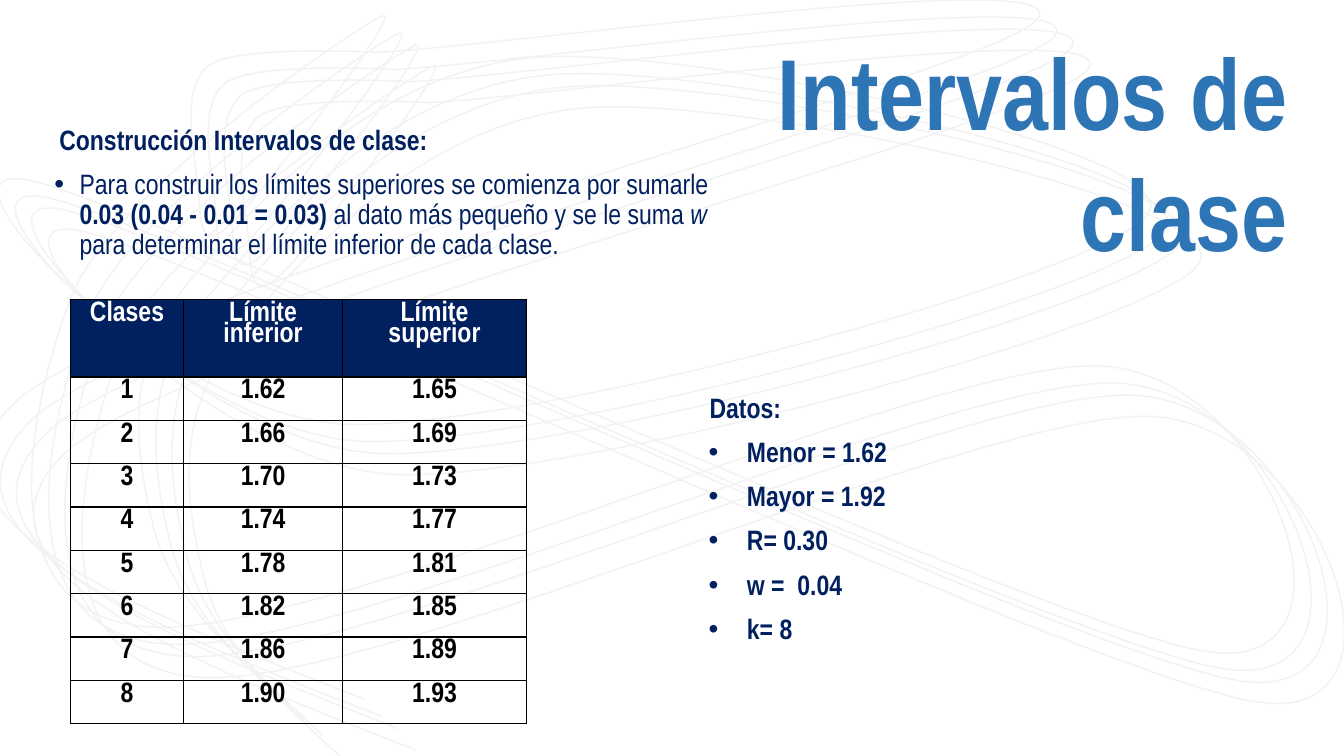
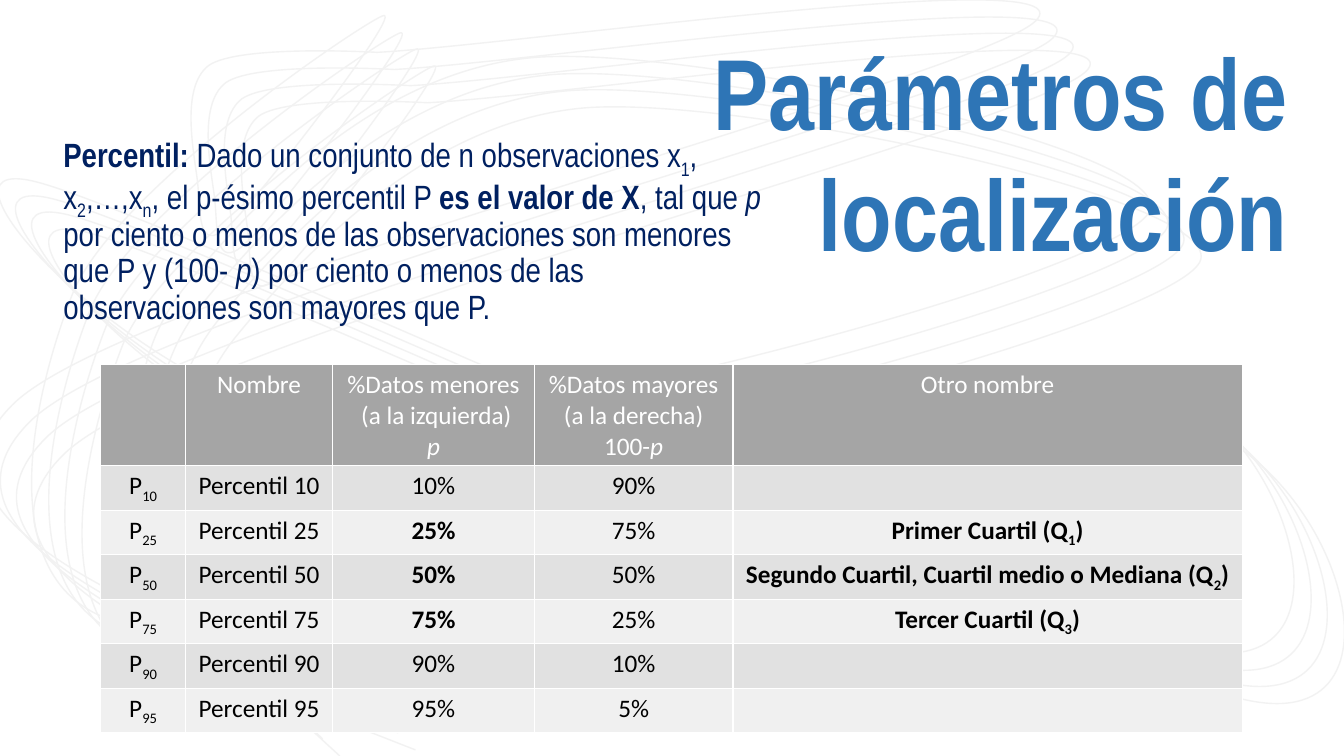
from dataclasses import dataclass

from lxml.etree import Element, SubElement
from pptx import Presentation
from pptx.dml.color import RGBColor as RGB
from pptx.enum.text import MSO_AUTO_SIZE as Fit, PP_ALIGN as Align
from pptx.oxml.ns import qn
from pptx.util import Inches, Pt


@dataclass(frozen=True)
class Theme:
    sans: str = "Arial Narrow"
    grid: str = "Calibri"
    title: str = "2E75B6"
    navy: str = "002060"
    white: str = "FFFFFF"
    black: str = "000000"
    swirl: str = "F2F2F2"
    gray: str = "A5A5A5"
    bands: tuple = ("E1E1E1", "F0F0F0")
    huge: int = 72
    large: int = 24
    body: int = 20
    small: int = 18


THEME = Theme()
HEAD = {"name": THEME.sans, "size": THEME.huge, "color": THEME.title, "bold": True}
BODY = {"name": THEME.sans, "size": THEME.body, "color": THEME.navy, "bold": False}
BOLD = {**BODY, "bold": True}
LEAD = {**BODY, "size": THEME.large}
CELL = {"name": THEME.grid, "size": THEME.small, "color": THEME.black, "bold": False}

FLOW = {"line_spacing": 0.9, "space_before": Pt(10)}
EVEN = {**FLOW, "alignment": Align.JUSTIFY}
MID = {"alignment": Align.CENTER}
MARKS = {"b": {"bold": True}, "i": {"italic": True}, "sub": {}}

# Start point, then two control points and an end point for each curve.
START = (2.87, 7)
CURVES = (
    (2.28, 6.46, 1.69, 5.92, 1.52, 5.22), (1.35, 4.53, 1.21, 3.62, 1.84, 2.84),
    (2.47, 2.07, 3.71, 0.7, 5.31, 0.57), (6.9, 0.45, 11.7, 1.49, 11.4, 2.1),
    (11.09, 2.7, 5.3, 4.25, 3.46, 4.21), (1.63, 4.16, -1.03, 1.43, 0.38, 1.81),
    (1.79, 2.19, 10.19, 6.16, 11.94, 6.46), (13.69, 6.76, 12.62, 3.67, 10.88, 3.63),
    (9.14, 3.6, 3.18, 6.34, 1.49, 6.22), (-0.21, 6.11, 0.32, 3.95, 0.71, 2.94),
    (1.09, 1.93, 3.53, 0.27, 3.79, 0.16), (4.05, 0.04, 2.56, 1.98, 2.26, 2.25),
    (1.95, 2.53, 1.99, 2.08, 1.96, 1.81), (1.93, 1.54, 1.78, 0.87, 2.07, 0.65),
    (2.37, 0.44, 3.74, 0.52, 3.74, 0.52), (5.1, 0.45, 10.87, -0.38, 10.27, 0.21),
    (9.66, 0.79, 1.23, 2.89, 0.12, 4.02), (-0.99, 5.14, 1.32, 6.04, 3.62, 6.94),
)


def bend(shape, curves):
    """Turn the shape's line segments into cubic curves given in slide units."""
    lines = list(shape._element.iter(qn("a:lnTo")))
    for line, curve in zip(lines, curves):
        arc = Element(qn("a:cubicBezTo"))
        for x, y in curve:
            SubElement(arc, qn("a:pt"), x=str(x - shape.left), y=str(y - shape.top))
        line.getparent().replace(line, arc)


def add_swirls(slide, last):
    """Draw four shifted outlines; last is the drop of the fourth."""
    for dx, dy in ((0, 0), (0.17, 0.17), (0.5, 0.5), (0.33, last)):
        def place(x, y):
            return Inches(x + dx), Inches(y + dy)

        curves = [[place(*row[n:n + 2]) for n in (0, 2, 4)] for row in CURVES]
        pen = slide.shapes.build_freeform(*place(*START), scale=1.0)
        pen.add_line_segments([curve[-1] for curve in curves], close=False)
        swirl = pen.convert_to_shape()
        bend(swirl, curves)
        swirl.shadow.inherit = False
        swirl.fill.background()
        swirl.line.color.rgb = RGB.from_string(THEME.swirl)
        swirl.line.width = Pt(1)


def style(font, look):
    for key, value in look.items():
        if key == "color":
            font.color.rgb = RGB.from_string(value)
        else:
            setattr(font, key, Pt(value) if key == "size" else value)


def write(par, runs, look, form):
    """Fill a paragraph with runs: plain strings or (text, marks) pairs."""
    for key, value in form.items():
        setattr(par, key, value)
    for item in runs:
        text, marks = (item, "") if isinstance(item, str) else item
        run = par.add_run()
        run.text = text
        style(run.font, look)
        for mark in marks.split():
            style(run.font, MARKS[mark])
            if mark == "sub":
                run._r.get_or_add_rPr().set("baseline", "-25000")


def fill_text(frame, lines, look, form):
    for n, runs in enumerate(lines):
        par = frame.add_paragraph() if n else frame.paragraphs[0]
        write(par, runs, look, form)


def indent(par, left, first, bullet=None):
    props = par._p.get_or_add_pPr()
    props.set("marL", str(Inches(left)))
    props.set("indent", str(Inches(first)))
    if bullet:
        SubElement(props, qn("a:buFont")).set("typeface", "Arial")
        SubElement(props, qn("a:buChar")).set("char", bullet)


def add_text(slide, box, lines, look, form):
    frame = slide.shapes.add_textbox(*map(Inches, box)).text_frame
    frame.word_wrap = True
    fill_text(frame, lines, look, form)
    return frame


def add_title(slide, text):
    form = {"alignment": Align.RIGHT}
    frame = add_text(slide, (5.87, 0.25, 7, 2.52), [[text]], HEAD, form)
    frame.auto_size = Fit.SHAPE_TO_FIT_TEXT


def add_list(slide, box, lines, look, form, left, first):
    """Add a heading line followed by bulleted lines."""
    head, *points = add_text(slide, box, lines, look, form).paragraphs
    indent(head, 0.05, 0)
    for point in points:
        indent(point, left, first, "•")


def edge(cell, color):
    props = cell._tc.get_or_add_tcPr()
    for side in "LRTB":
        line = SubElement(props, qn(f"a:ln{side}"), w=str(Pt(1)))
        solid = SubElement(line, qn("a:solidFill"))
        SubElement(solid, qn("a:srgbClr"), val=color)


def add_grid(slide, spot, cols, tall, rows, look, form, paint, rim):
    """Add a table; tall is (header, row) height and paint gives a row's fill."""
    high = [tall[0]] + [tall[1]] * (len(rows) - 1)
    size = (*spot, sum(cols), sum(high))
    grid = slide.shapes.add_table(len(rows), len(cols), *map(Inches, size)).table
    grid.horz_banding = False
    for col, wide in zip(grid.columns, cols):
        col.width = Inches(wide)
    for r, row in enumerate(rows):
        grid.rows[r].height = Inches(high[r])
        tone = paint(r)
        ink = look if r else {**look, "color": THEME.white}
        for c, lines in enumerate(row):
            cell = grid.cell(r, c)
            edge(cell, rim)
            if tone:
                cell.fill.solid()
                cell.fill.fore_color.rgb = RGB.from_string(tone)
            else:
                cell.fill.background()
            fill_text(cell.text_frame, lines, ink, form)


def start(deck, title, last):
    slide = deck.slides.add_slide(deck.slide_layouts[6])
    add_swirls(slide, last)
    add_title(slide, title)
    return slide


def add_classes(deck):
    slide = start(deck, "Intervalos de clase", 0.29)
    add_list(slide, (0.44, 1.2, 7.05, 1.68), [
        [("Construcción Intervalos de clase:", "b")],
        ["Para construir los límites superiores se comienza por sumarle ",
         ("0.03 (0.04 - 0.01 = 0.03) ", "b"),
         "al dato más pequeño y se le suma ", ("w", "i"),
         " para determinar el límite inferior de cada clase."],
    ], BODY, FLOW, 0.25, -0.25)

    rows = [[[[name]] for name in ("Clases", "Límite inferior", "Límite superior")]]
    for k in range(8):
        low = 1.62 + 0.04 * k
        rows.append([[[f"{k + 1}"]], [[f"{low:.2f}"]], [[f"{low + 0.03:.2f}"]]])
    add_grid(slide, (0.7, 2.97), (1.12, 1.58, 1.82), (0.77, 0.43), rows,
             {**BOLD, "color": THEME.black}, {**MID, "line_spacing": 0.8},
             lambda r: None if r else THEME.navy, THEME.black)

    facts = ("Datos:", "Menor = 1.62", "Mayor = 1.92", "R= 0.30", "w =  0.04", "k= 8")
    add_list(slide, (6.89, 3.86, 2.54, 2.88), [[fact] for fact in facts],
             BOLD, EVEN, 0.42, -0.38)


def add_ranks(deck):
    slide = start(deck, "Parámetros de localización", 0.33)
    frame = add_text(slide, (0.48, 1.29, 7.19, 4.76), [[
        ("Percentil:", "b"), " Dado un conjunto de n observaciones x", ("1", "sub"),
        ", x", ("2", "sub"), ",…,x", ("n", "sub"), ", el p-ésimo percentil P ",
        ("es el valor de X", "b"), ", tal que ", ("p", "i"),
        " por ciento o menos de las observaciones son menores que P y (100- ",
        ("p", "i"),
        ") por ciento o menos de las observaciones son mayores que P.",
    ]], LEAD, FLOW)
    indent(frame.paragraphs[0], 0.05, 0)

    names = {25: "Primer Cuartil (Q",
             50: "Segundo Cuartil, Cuartil medio o Mediana (Q",
             75: "Tercer Cuartil (Q"}
    rows = [[
        [], [["Nombre"]],
        [["%Datos menores"], [" (a la izquierda)"], [("p", "i")]],
        [["%Datos mayores"], ["(a la derecha)"], ["100-", ("p", "i")]],
        [["Otro nombre"]],
    ]]
    for rank in (10, 25, 50, 75, 90, 95):
        known = rank in names
        alias = [[(names[rank], "b"), (f"{rank // 25}", "b sub"), (")", "b")]] if known else []
        rows.append([
            [["P", (f"{rank}", "sub")]], [[f"Percentil {rank}"]],
            [[(f"{rank}%", "b" if known else "")]], [[f"{100 - rank}%"]], alias,
        ])
    add_grid(slide, (1, 3.62), (0.84, 1.46, 2, 1.97, 5.05), (1, 0.44), rows, CELL, MID,
             lambda r: THEME.bands[(r - 1) % 2] if r else THEME.gray, THEME.white)


def main():
    deck = Presentation()
    deck.slide_width, deck.slide_height = Inches(13.33), Inches(7.5)
    add_classes(deck)
    add_ranks(deck)
    deck.save("out.pptx")


if __name__ == "__main__":
    main()
